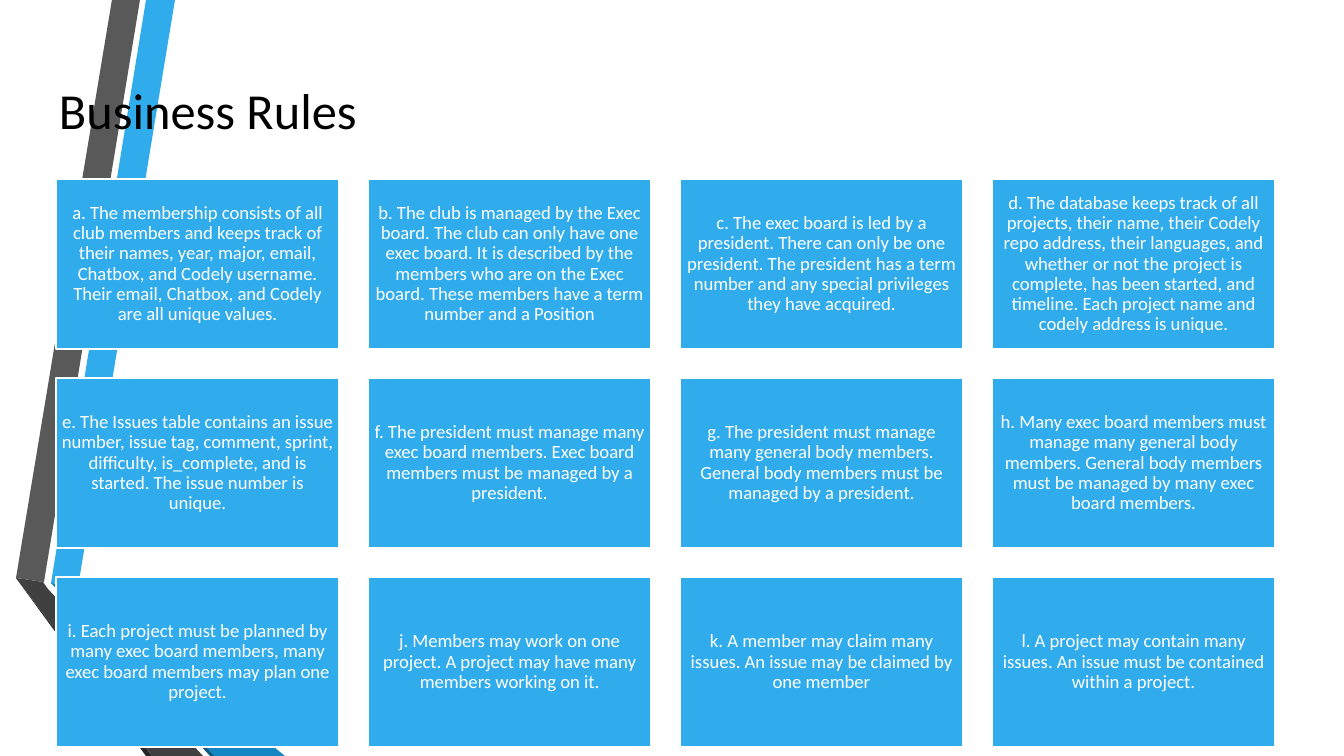
"""Builds the Business Rules slide: a title over ribbons and a grid of twelve rule cards."""
import pptx
import pptx.dml.color
import pptx.enum.text
import pptx.util

COLORS = {
    "blue": "30ACEC", "mid_blue": "1287C3", "deep_blue": "0C5A82",
    "gray": "595959", "dark_gray": "404040", "near_black": "262626",
    "white": "FFFFFF", "black": "000000",
}
FONT = "Calibri"
HEADING = "Business Rules"
RULES = [
    "a. The membership consists of all club members and keeps track of their names, year, major, email, Chatbox, and Codely username. Their email, Chatbox, and Codely are all unique values.",
    "b. The club is managed by the Exec board. The club can only have one exec board. It is described by the members who are on the Exec board. These members have a term number and a Position",
    "c. The exec board is led by a president. There can only be one president. The president has a term number and any special privileges they have acquired.",
    "d. The database keeps track of all projects, their name, their Codely repo address, their languages, and whether or not the project is complete, has been started, and timeline. Each project name and codely address is unique.",
    "e. The Issues table contains an issue number, issue tag, comment, sprint, difficulty, is_complete, and is started. The issue number is unique.",
    "f. The president must manage many exec board members. Exec board members must be managed by a president.",
    "g. The president must manage many general body members. General body members must be managed by a president.",
    "h. Many exec board members must manage many general body members. General body members must be managed by many exec board members.",
    "i. Each project must be planned by many exec board members, many exec board members may plan one project.",
    "j. Members may work on one project. A project may have many members working on it.",
    "k. A member may claim many issues. An issue may be claimed by one member",
    "l. A project may contain many issues. An issue must be contained within a project.",
]
RIBBONS = [
    ("blue", [(51, 583), (78, 587), (175, 0), (146, 0)]),
    ("gray", [(140, 0), (112, 0), (16, 578), (44, 582)]),
    ("near_black", [(16, 578), (146, 756), (152, 756)]),
    ("deep_blue", [(51, 583), (210, 756), (215, 756)]),
    ("mid_blue", [(51, 583), (215, 756), (285, 756), (78, 587)]),
    ("dark_gray", [(203, 756), (48, 589), (43, 582), (16, 578), (152, 756)]),
]
SLIDE_SIZE = (1344, 756)
TITLE_BOX = (46, 66, 1253, 85)
COLUMNS = 4
GRID_LEFT, GRID_TOP = 56, 179
CARD_WIDTH, CARD_HEIGHT, GAP = 283, 170, 29
CARD_INSET = 5
EMU_PER_PX = 914400 / 134.4


def px(length):
    return pptx.util.Emu(round(length * EMU_PER_PX))


def rgb(name):
    return pptx.dml.color.RGBColor.from_string(COLORS[name])


def paint(shape, color):
    shape.shadow.inherit = False
    shape.fill.solid()
    shape.fill.fore_color.rgb = rgb(color)


def write(shape, text, size, color, alignment, anchor):
    frame = shape.text_frame
    frame.text = text
    frame.word_wrap = True
    frame.vertical_anchor = anchor
    paragraph = frame.paragraphs[0]
    paragraph.alignment = alignment
    font = paragraph.runs[0].font
    font.name, font.size = FONT, pptx.util.Pt(size)
    font.color.rgb = rgb(color)
    return frame


def add_title(slide):
    title = slide.shapes.title
    title.left, title.top, title.width, title.height = map(px, TITLE_BOX)
    frame = write(title, HEADING, 27, "black", pptx.enum.text.PP_ALIGN.LEFT,
                  pptx.enum.text.MSO_ANCHOR.TOP)
    frame.auto_size = pptx.enum.text.MSO_AUTO_SIZE.NONE
    frame.margin_left = frame.margin_right = px(13)
    frame.margin_top = frame.margin_bottom = px(13)


def add_ribbon(slide, color, points):
    outline = slide.shapes.build_freeform(*points[0], scale=EMU_PER_PX)
    outline.add_line_segments(points[1:], close=True)
    ribbon = outline.convert_to_shape()
    paint(ribbon, color)
    ribbon.line.fill.background()
    slide.shapes.title.element.addprevious(ribbon.element)


def add_card(slide, index, rule):
    row, column = divmod(index, COLUMNS)
    card = slide.shapes.add_shape(
        pptx.enum.shapes.MSO_SHAPE.RECTANGLE,
        px(GRID_LEFT + column * (CARD_WIDTH + GAP)),
        px(GRID_TOP + row * (CARD_HEIGHT + GAP)),
        px(CARD_WIDTH), px(CARD_HEIGHT))
    paint(card, "blue")
    card.line.color.rgb = rgb("white")
    card.line.width = pptx.util.Pt(1.25)
    frame = write(card, rule, 10, "white", pptx.enum.text.PP_ALIGN.CENTER,
                  pptx.enum.text.MSO_ANCHOR.MIDDLE)
    frame.margin_left = frame.margin_right = px(CARD_INSET)
    frame.margin_top = frame.margin_bottom = px(CARD_INSET)
    frame.paragraphs[0].line_spacing = 0.9


def main():
    deck = pptx.Presentation()
    deck.slide_width, deck.slide_height = map(px, SLIDE_SIZE)
    slide = deck.slides.add_slide(deck.slide_layouts.get_by_name("Title Only"))
    add_title(slide)
    for color, points in RIBBONS:
        add_ribbon(slide, color, points)
    for index, rule in enumerate(RULES):
        add_card(slide, index, rule)
    deck.save("out.pptx")


if __name__ == "__main__":
    main()
